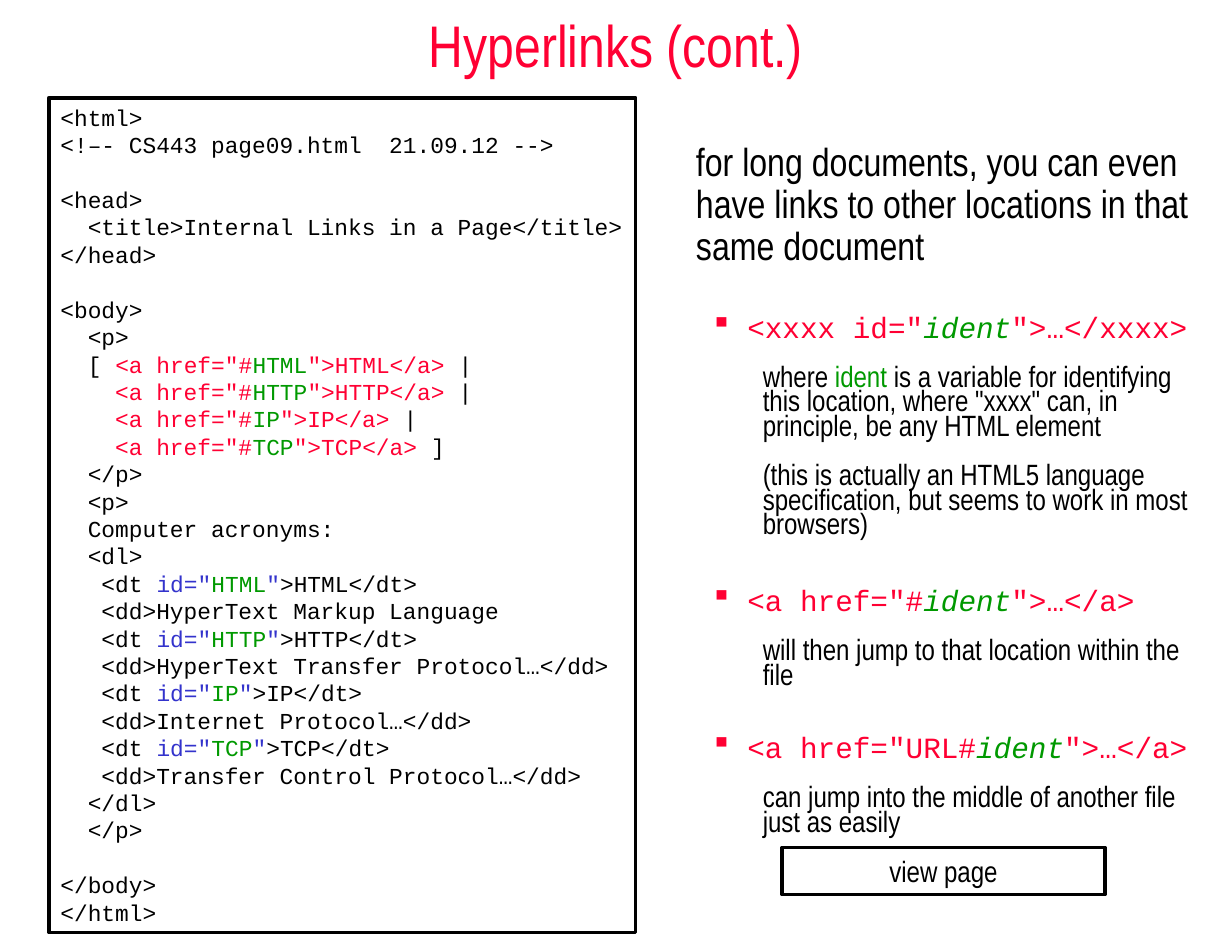
"""Build the 'Hyperlinks (cont.)' slide: an HTML listing beside notes on internal links."""
import pptx
import pptx.dml.color
import pptx.enum.shapes
import pptx.enum.text
import pptx.oxml
import pptx.oxml.ns
import pptx.util
from lxml import etree

Pt = pptx.util.Pt
RED, GREEN, BLUE, BLACK = "FF0033", "009900", "3333CC", "000000"
NARROW, MONO = "Arial Narrow", "Courier New"


def link(name, start, end):
    return start + [('<a href="#', RED), (name, GREEN), (f'">{name}</a> ', RED), (end, BLACK)]


def term(name):
    return [("   <dt ", BLACK), ('id="', BLUE), (name, GREEN), ('"', BLUE), (f">{name}</dt>", BLACK)]


TITLE = "Hyperlinks (cont.)"
BUTTON = "view page"
INTRO = "for long documents, you can even have links to other locations in that same document"
INDENT = [("    ", RED)]
CODE_BLOCKS = [
    ["<html>", "<!–- CS443 page09.html  21.09.12 -->"],
    ["<head>", "  <title>Internal Links in a Page</title>", "</head>"],
    [
        "<body>",
        "  <p>",
        link("HTML", [("  [ ", BLACK)], "|"),
        link("HTTP", INDENT, "|"),
        link("IP", INDENT, "|"),
        link("TCP", INDENT, "]"),
        "  </p>",
        "  <p>",
        "  Computer acronyms:",
        "  <dl>",
        term("HTML"),
        "   <dd>HyperText Markup Language",
        term("HTTP"),
        "   <dd>HyperText Transfer Protocol…</dd>",
        term("IP"),
        "   <dd>Internet Protocol…</dd>",
        term("TCP"),
        "   <dd>Transfer Control Protocol…</dd>",
        "  </dl>",
        "  </p>",
    ],
    ["</body>", "</html>"],
]
TOPICS = [
    (30, '<xxxx id="', '">…</xxxx>', [
        [("where ", BLACK), ("ident", GREEN),
         (' is a variable for identifying this location, where "xxxx" can, in principle, '
          "be any HTML element", BLACK)],
        "(this is actually an HTML5 language specification, but seems to work in most browsers)",
    ]),
    (32, '<a href="#', '">…</a>', ["will then jump to that location within the file"]),
    (30, '<a href="URL#', '">…</a>', ["can jump into the middle of another file just as easily"]),
]
CODE_LINE, NOTE_GAP = 16.8, 15


def rgb(value):
    return pptx.dml.color.RGBColor.from_string(value)


def text_box(s, box):
    tf = s.shapes.add_textbox(*map(Pt, box)).text_frame
    tf.word_wrap = True
    return tf


def frame(s, box):
    sp = s.shapes.add_shape(pptx.enum.shapes.MSO_SHAPE.RECTANGLE, *map(Pt, box))
    sp.shadow.inherit = False
    sp.fill.background()
    sp.line.color.rgb = rgb(BLACK)
    sp.line.width = Pt(2.25)
    tf = sp.text_frame
    tf.word_wrap = True
    tf.vertical_anchor = pptx.enum.text.MSO_ANCHOR.TOP
    return tf


def add_par(tf, runs, font, size, align="LEFT", spacing=1.0, before=0, level=0, left=0, hang=0):
    p = tf.paragraphs[0] if not tf.paragraphs[0].runs else tf.add_paragraph()
    p.level = level
    if left:
        pPr = p._p.get_or_add_pPr()
        pPr.set("marL", str(Pt(left)))
        pPr.set("indent", str(Pt(-hang)))
    if hang:
        clr = etree.SubElement(pPr, pptx.oxml.ns.qn("a:buClr"))
        etree.SubElement(clr, pptx.oxml.ns.qn("a:srgbClr"), val=RED)
        etree.SubElement(pPr, pptx.oxml.ns.qn("a:buChar"), char="▪")
    p.alignment = getattr(pptx.enum.text.PP_ALIGN, align)
    p.line_spacing = spacing
    p.space_before = Pt(before)
    for text, color, *italic in [(runs, BLACK)] if isinstance(runs, str) else runs:
        r = p.add_run()
        r.text = text
        r.font.name = font
        r.font.size = Pt(size)
        r.font.color.rgb = rgb(color)
        if italic:
            r.font.italic = True


def main():
    prs = pptx.Presentation()
    prs.slide_width, prs.slide_height = Pt(756), Pt(576)
    s = prs.slides.add_slide(prs.slide_layouts[6])

    tf = text_box(s, (0, 0, 756, 54))
    tf.vertical_anchor = pptx.enum.text.MSO_ANCHOR.MIDDLE
    add_par(tf, [(TITLE, RED)], NARROW, 36, align="CENTER")

    tf = text_box(s, (420, 84, 319, 408))
    add_par(tf, INTRO, NARROW, 24, spacing=0.9)
    for gap, start, end, notes in TOPICS:
        runs = [(start, RED), ("ident", GREEN, True), (end, RED)]
        add_par(tf, runs, MONO, 18, spacing=0.7, before=gap, level=1, left=31.5, hang=22.5)
        for note in notes:
            add_par(tf, note, NARROW, 18, spacing=0.7, before=NOTE_GAP, level=2, left=41)

    tf = frame(s, (30, 60, 360, 512))
    for b, block in enumerate(CODE_BLOCKS):
        for i, line in enumerate(block):
            before = CODE_LINE if b and i == 0 else 0
            add_par(tf, line, MONO, 14, spacing=Pt(CODE_LINE), before=before)

    add_par(frame(s, (480, 520, 198, 28.8)), BUTTON, NARROW, 18, align="CENTER")
    prs.save("out.pptx")


if __name__ == "__main__":
    main()
